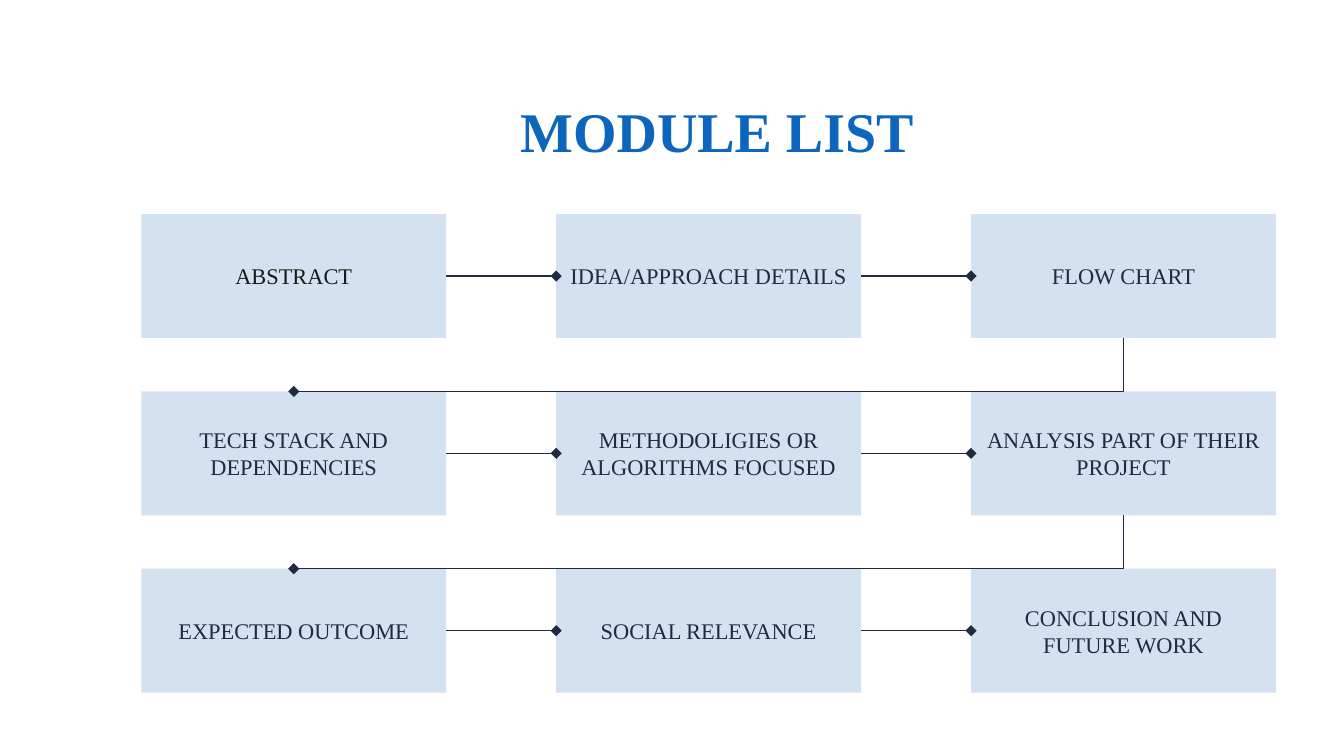
from dataclasses import dataclass

from lxml import etree
from pptx import Presentation
from pptx.dml.color import RGBColor
from pptx.enum.shapes import MSO_CONNECTOR, MSO_SHAPE
from pptx.enum.text import MSO_ANCHOR, PP_ALIGN
from pptx.oxml.ns import qn
from pptx.util import Pt

CENTER = PP_ALIGN.CENTER
MIDDLE = MSO_ANCHOR.MIDDLE
RECTANGLE = MSO_SHAPE.RECTANGLE
STRAIGHT = MSO_CONNECTOR.STRAIGHT
ELBOW = MSO_CONNECTOR.ELBOW
LEFT_SITE, RIGHT_SITE = 1, 3
TITLE_ONLY = 5


@dataclass(frozen=True)
class Theme:
    """Colours, type sizes and line width of the slide."""
    font: str = "Times New Roman"
    title: RGBColor = RGBColor(0x0B, 0x66, 0xBC)
    box: RGBColor = RGBColor(0xD3, 0xE1, 0xF1)
    ink: RGBColor = RGBColor(0x20, 0x2A, 0x41)
    first_ink: RGBColor = RGBColor(0x19, 0x19, 0x19)
    title_size: float = 30
    box_size: float = 12
    line_width: float = 0.75
    inset: float = 7.2


THEME = Theme()
MODULES = [
    ["ABSTRACT", "IDEA/APPROACH DETAILS", "FLOW CHART"],
    ["TECH STACK AND DEPENDENCIES", "METHODOLIGIES OR ALGORITHMS FOCUSED",
     "ANALYSIS PART OF THEIR PROJECT"],
    ["EXPECTED OUTCOME", "SOCIAL RELEVANCE", "CONCLUSION AND FUTURE WORK"],
]
BOX_WIDTH, BOX_HEIGHT = 163.4, 66.4


def set_text(shape, text, size, color, bold=False):
    """Write centred text in the middle of a shape."""
    frame = shape.text_frame
    frame_format = {"word_wrap": True, "vertical_anchor": MIDDLE}
    for side in ("left", "top", "right", "bottom"):
        frame_format[f"margin_{side}"] = Pt(THEME.inset)
    for name, value in frame_format.items():
        setattr(frame, name, value)
    paragraph = frame.paragraphs[0]
    paragraph.alignment = CENTER
    run = paragraph.add_run()
    run.text = text
    font_format = {"name": THEME.font, "size": Pt(size), "bold": bold}
    for name, value in font_format.items():
        setattr(run.font, name, value)
    run.font.color.rgb = color


def add_title(slide, text, left, top, width, height):
    """Place the title placeholder in the given box."""
    title = slide.shapes.title
    position = {"left": left, "top": top, "width": width, "height": height}
    for name, value in position.items():
        setattr(title, name, Pt(value))
    set_text(title, text, THEME.title_size, THEME.title, bold=True)


def add_module(slide, text, color, left, top):
    """Add one module box and return it."""
    shape = slide.shapes.add_shape(
        RECTANGLE, Pt(left), Pt(top), Pt(BOX_WIDTH), Pt(BOX_HEIGHT))
    shape.shadow.inherit = False
    shape.fill.solid()
    shape.fill.fore_color.rgb = THEME.box
    shape.line.fill.background()
    set_text(shape, text, THEME.box_size, color)
    return shape


def add_link(slide, kind, start, end):
    """Add a connector that ends in a diamond."""
    connector = slide.shapes.add_connector(kind, *start, *end)
    connector.line.color.rgb = THEME.ink
    connector.line.width = Pt(THEME.line_width)
    properties = connector._element.spPr
    etree.SubElement(properties.find(qn("a:ln")), qn("a:tailEnd"), type="diamond")
    etree.SubElement(properties, qn("a:effectLst"))
    return connector


def link_neighbours(slide, source, target):
    """Join two boxes of a row, side to side."""
    middle = source.top + source.height // 2
    connector = add_link(slide, STRAIGHT, (source.left + source.width, middle),
                         (target.left, middle))
    connector.begin_connect(source, RIGHT_SITE)
    connector.end_connect(target, LEFT_SITE)


def link_rows(slide, source, target):
    """Lead from the end of one row down and back to the next row."""
    connector = add_link(
        slide, ELBOW,
        (source.left + source.width // 2, source.top + source.height),
        (target.left + target.width // 2, target.top))
    geometry = connector._element.spPr.find(qn("a:prstGeom"))
    guides = geometry.find(qn("a:avLst"))
    etree.SubElement(guides, qn("a:gd"), name="adj1", fmla="val 0")


def add_module_flow(slide, left, top, width, height):
    """Fill the given box with the module grid and its connectors."""
    column_step = (width - BOX_WIDTH) / (len(MODULES[0]) - 1)
    row_step = (height - BOX_HEIGHT) / (len(MODULES) - 1)
    rows = []
    for row, labels in enumerate(MODULES):
        boxes = []
        for column, label in enumerate(labels):
            color = THEME.ink if row or column else THEME.first_ink
            boxes.append(add_module(slide, label, color,
                                    left + column * column_step,
                                    top + row * row_step))
        rows.append(boxes)
    for boxes in rows:
        for source, target in zip(boxes, boxes[1:]):
            link_neighbours(slide, source, target)
    for upper, lower in zip(rows, rows[1:]):
        link_rows(slide, upper[-1], lower[0])


def main():
    """Build the module list slide."""
    presentation = Presentation()
    presentation.slide_width = Pt(720)
    presentation.slide_height = Pt(405)
    slide = presentation.slides.add_slide(presentation.slide_layouts[TITLE_ONLY])
    add_title(slide, "MODULE LIST", 114.5, 46.8, 539.3, 45.4)
    add_module_flow(slide, 75.7, 114.7, 607.9, 256.4)
    presentation.save("out.pptx")


if __name__ == "__main__":
    main()
